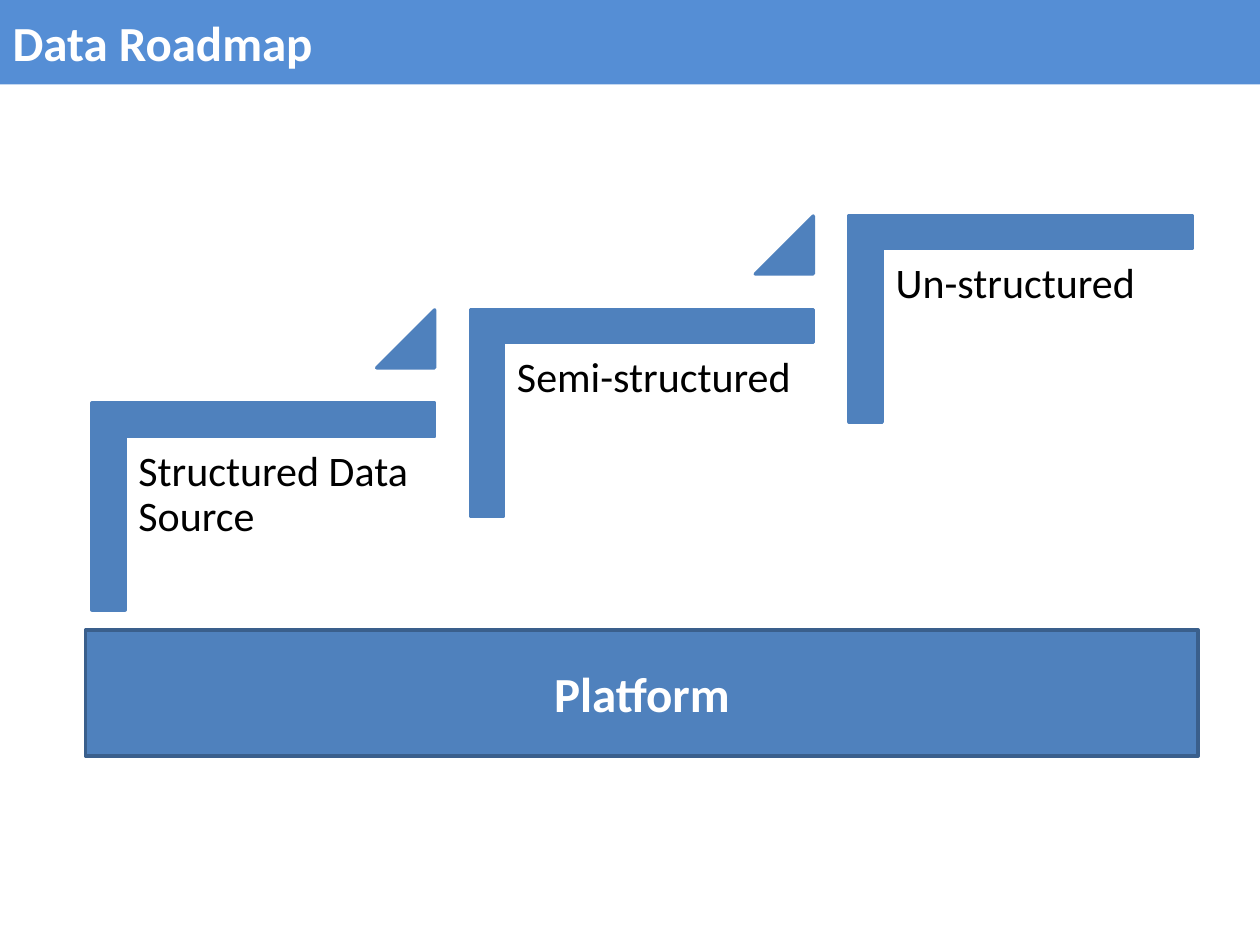
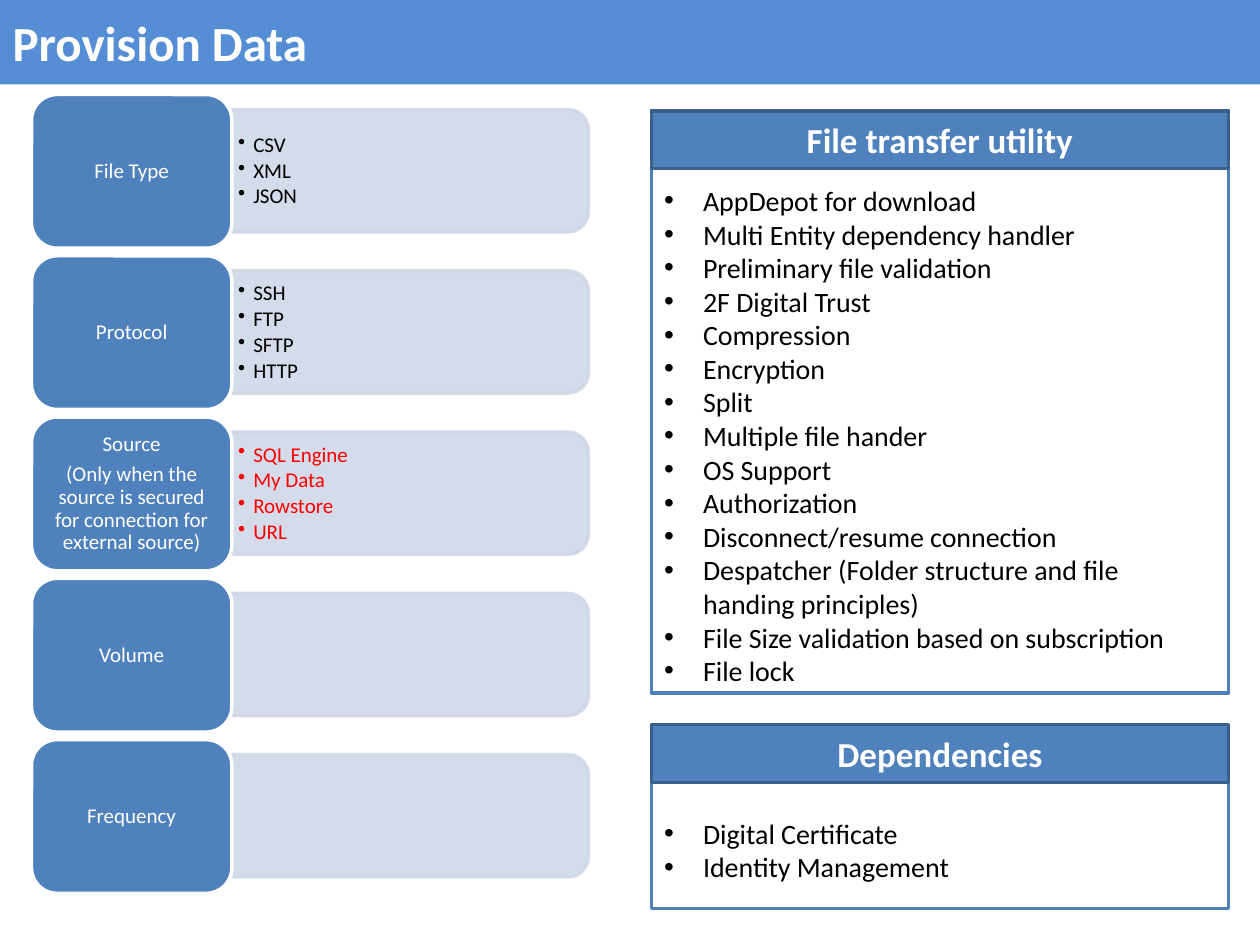
from dataclasses import dataclass

from lxml import etree
from pptx import Presentation
from pptx.dml.color import RGBColor
from pptx.enum import shapes, text
from pptx.oxml import ns
from pptx.util import Inches, Pt

STEPS = ["Structured Data Source", "Semi-structured", "Un-structured"]

# label lines, bullet items, name of the item colour
ROWS = [
    (["File Type"], ["CSV", "XML", "JSON"], "black"),
    (["Protocol"], ["SSH", "FTP", "SFTP", "HTTP"], "black"),
    (["Source", "(Only when the source is secured for connection "
      "for external source)"],
     ["SQL Engine", "My Data", "Rowstore", "URL"], "red"),
    (["Volume"], [], "black"),
    (["Frequency"], [], "black"),
]

# heading, top, height, items
PANELS = [
    ("File transfer utility", 0.88, 4.62, [
        "AppDepot for download",
        "Multi Entity dependency handler",
        "Preliminary file validation",
        "2F Digital Trust",
        "Compression",
        "Encryption",
        "Split",
        "Multiple file hander",
        "OS Support",
        "Authorization",
        "Disconnect/resume connection",
        "Despatcher (Folder structure and file handing principles)",
        "File Size validation based on subscription",
        "File lock",
    ]),
    ("Dependencies", 5.75, 1.46, ["Digital Certificate", "Identity Management"]),
]


@dataclass(frozen=True)
class Theme:
    font: str = "Calibri"
    band: str = "558ED5"
    blue: str = "4F81BD"
    edge: str = "3A5F8C"
    pale: str = "D0D8E8"
    white: str = "FFFFFF"
    black: str = "000000"
    red: str = "FF0000"
    title: int = 28
    step: int = 24
    head: int = 20
    body: int = 16
    small: int = 12
    line: int = 2


T = Theme()
KIND = shapes.MSO_SHAPE
LEFT, MID = text.PP_ALIGN.LEFT, text.PP_ALIGN.CENTER


def place(shape, x, y, w, h):
    shape.left, shape.top = Inches(x), Inches(y)
    shape.width, shape.height = Inches(w), Inches(h)


def paint(shape, fill, line=None):
    shape.fill.solid()
    shape.fill.fore_color.rgb = RGBColor.from_string(fill)
    if line:
        shape.line.color.rgb = RGBColor.from_string(line)
        shape.line.width = Pt(T.line)


def draw(slide, kind, x, y, w, h, fill, line):
    shape = slide.shapes.add_shape(
        kind, Inches(x), Inches(y), Inches(w), Inches(h))
    shape.shadow.inherit = False
    paint(shape, fill, line)
    return shape


def turn(slide, kind, x, y, w, h, fill, line):
    """Draw a shape turned by 90 degrees that shows in the box x, y, w, h."""
    shift = (w - h) / 2
    shape = draw(slide, kind, x + shift, y - shift, h, w, fill, line)
    shape.rotation = 90
    return shape


def fade(shape, share):
    """Make fill and line let some of the ground through."""
    for clr in shape._element.spPr.iter(ns.qn("a:srgbClr")):
        etree.SubElement(clr, ns.qn("a:alpha"), val=str(share * 1000))


def dot(para, indent):
    props = para._p.get_or_add_pPr()
    props.set("marL", str(Inches(indent)))
    props.set("indent", str(-Inches(indent)))
    etree.SubElement(props, ns.qn("a:buChar"), char="•")


def write(shape, lines, size, color, align=LEFT, bold=False, indent=0,
          gap=0, space=1.0, pad=(0.1, 0.05, 0.1, 0.05), top=False):
    frame = shape.text_frame
    frame.word_wrap = True
    frame.auto_size = text.MSO_AUTO_SIZE.NONE
    frame.vertical_anchor = (
        text.MSO_ANCHOR.TOP if top else text.MSO_ANCHOR.MIDDLE)
    (frame.margin_left, frame.margin_top,
     frame.margin_right, frame.margin_bottom) = map(Inches, pad)
    frame.text = "\n".join(lines)
    for para in frame.paragraphs:
        if indent:
            dot(para, indent)
        para.alignment = align
        para.line_spacing = space
        para.space_before, para.space_after = Pt(0), Pt(gap * size)
        font = para.font
        font.name, font.size, font.bold = T.font, Pt(size), bold
        font.color.rgb = RGBColor.from_string(color)


def label(slide, x, y, w, h, lines, size, color, **style):
    box = slide.shapes.add_textbox(Inches(x), Inches(y), Inches(w), Inches(h))
    write(box, lines, size, color, **style)


def bar(slide, x, y, w, h, words, size):
    shape = draw(slide, KIND.RECTANGLE, x, y, w, h, T.blue, T.edge)
    write(shape, [words], size, T.white, MID, True)


def start(deck, layout, title):
    slide = deck.slides.add_slide(deck.slide_layouts.get_by_name(layout))
    band = slide.shapes.title
    place(band, 0, 0, 10, 0.67)
    paint(band, T.band)
    write(band, [title], T.title, T.white, bold=True)
    return slide


def roadmap(deck):
    slide = start(deck, "Title Only", "Data Roadmap")
    for i, step in enumerate(STEPS):
        x, y = 0.73 + 3.005 * i, 3.2 - 0.745 * i
        angle = turn(slide, KIND.CORNER, x, y, 2.72, 1.64, T.blue, T.blue)
        angle.adjustments[0] = angle.adjustments[1] = 0.16
        label(slide, x + 0.27, y + 0.27, 2.46, 2.15, [step], T.step, T.black,
              gap=0.35, space=0.9, pad=(0.1,) * 4, top=True)
        if i < len(STEPS) - 1:
            peak = draw(slide, KIND.ISOSCELES_TRIANGLE,
                        x + 2.26, y - 0.74, 0.46, 0.46, T.blue, T.blue)
            peak.adjustments[0] = 1
    bar(slide, 0.68, 5, 8.83, 1, "Platform", T.title)


def provision(deck):
    slide = start(deck, "Two Content", "Provision Data")
    x, wide, head = 5.17, 4.58, 0.46
    bodies = list(slide.placeholders)[1:]
    for body, (name, y, high, items) in zip(bodies, PANELS):
        place(body, x, y, wide, high)
        paint(body, T.white, T.blue)
        write(body, items, T.body, T.black, indent=0.31,
              pad=(0.1, head + 0.12, 0.1, 0.05))
        bar(slide, x, y, wide, head, name, T.head)

    pad = (0.05, 0.03, 0.05, 0.03)
    for i, (names, items, color) in enumerate(ROWS):
        y = 0.75 + 1.28 * i
        strip = turn(slide, KIND.ROUND_2_SAME_RECTANGLE,
                     1.84, y + 0.12, 2.83, 0.97, T.pale, T.pale)
        fade(strip, 90)
        if items:
            label(slide, 1.84, y + 0.17, 2.78, 0.88, items, T.small,
                  getattr(T, color), indent=0.12, gap=0.15, space=0.9, pad=pad)
        tile = draw(slide, KIND.ROUNDED_RECTANGLE,
                    0.25, y, 1.59, 1.22, T.blue, T.white)
        write(tile, names, T.small, T.white, MID, gap=0.35, space=0.9, pad=pad)


def main():
    deck = Presentation()
    deck.slide_width, deck.slide_height = Inches(10), Inches(7.5)
    roadmap(deck)
    provision(deck)
    deck.save("out.pptx")


if __name__ == "__main__":
    main()
